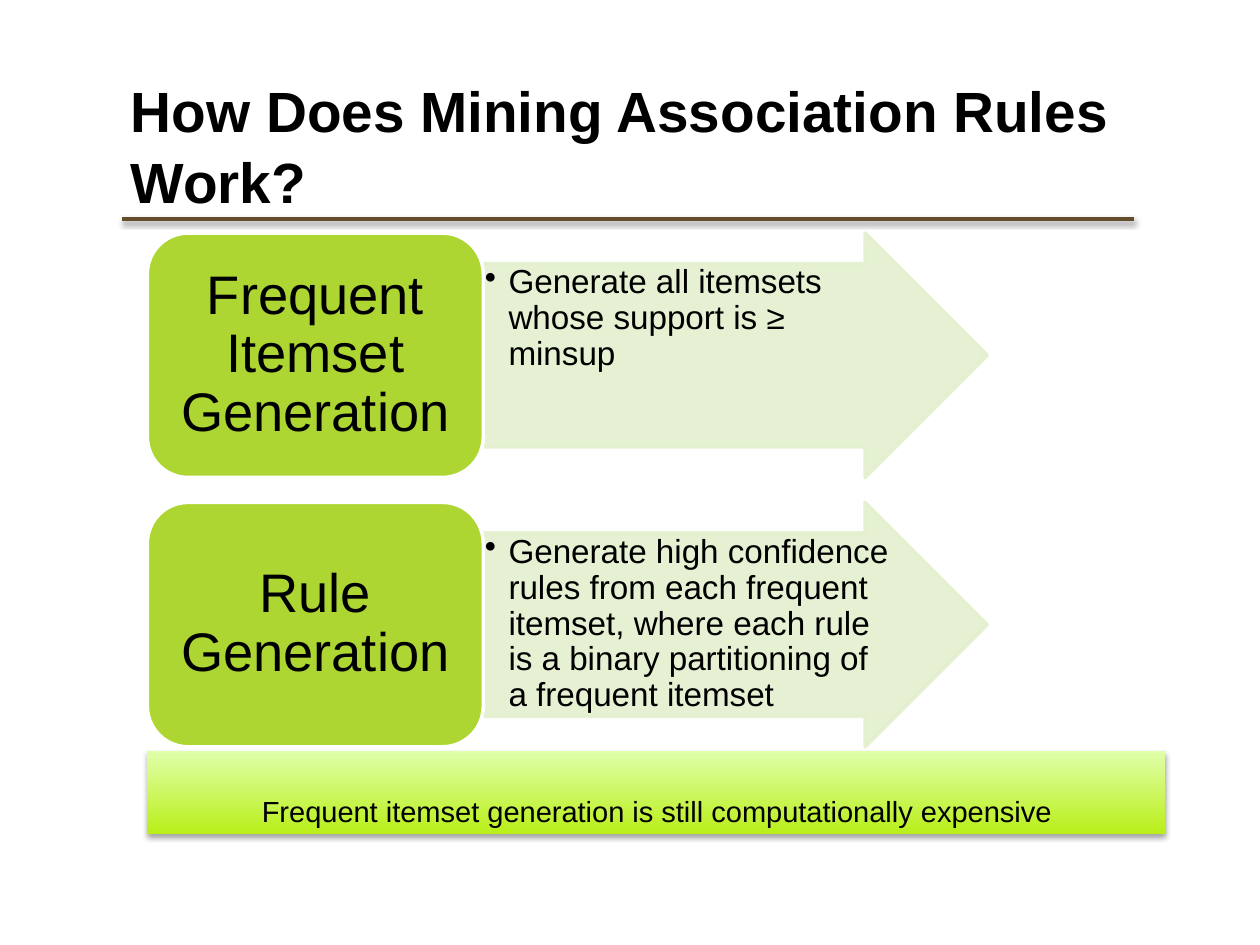
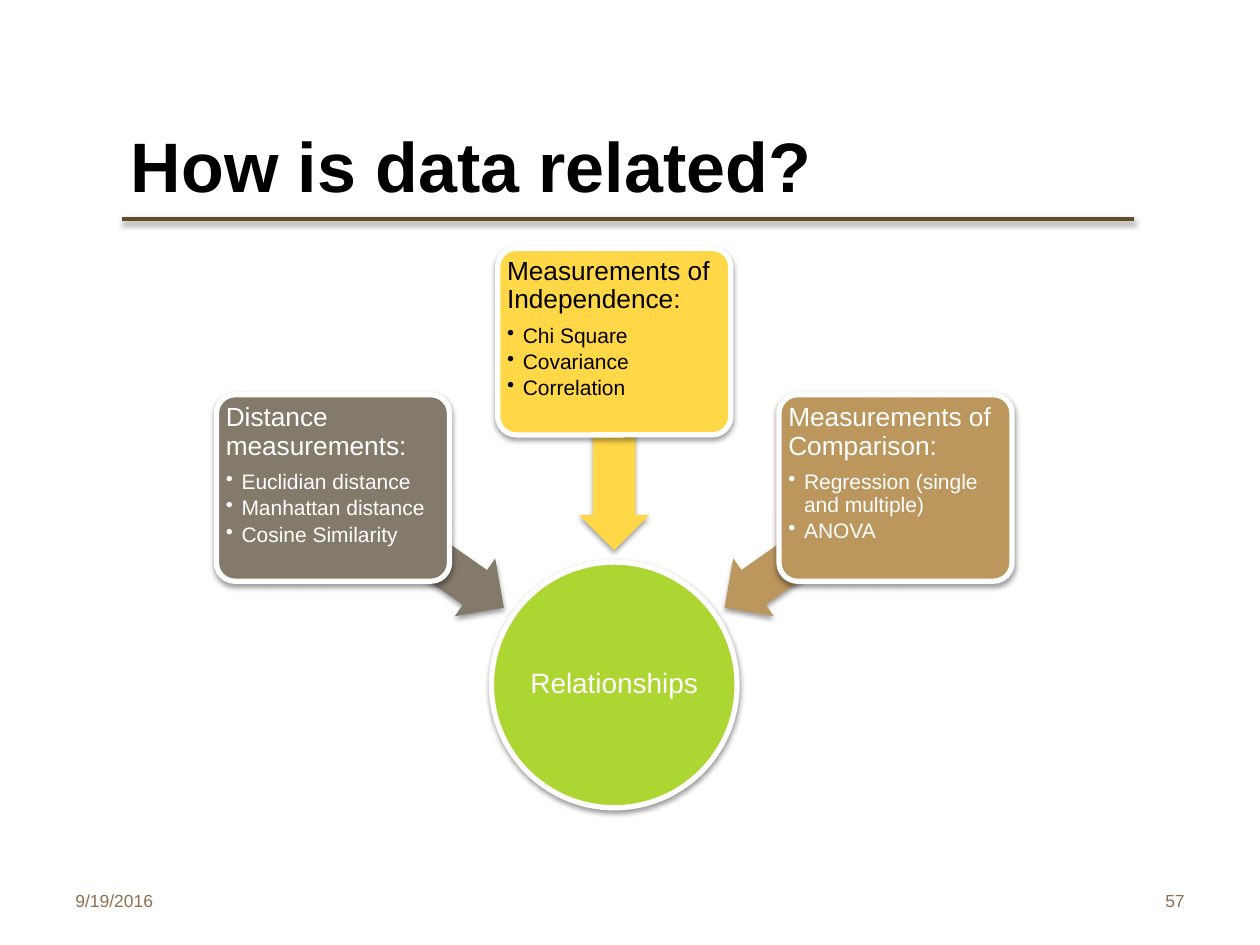
"""Build two slides on association rules and data relationships."""
from dataclasses import dataclass
from math import cos, radians, sin
from typing import Any, NamedTuple, Optional

from lxml.etree import SubElement as Sub
from pptx import Presentation
from pptx.dml.color import RGBColor as Rgb
from pptx.enum.shapes import MSO_CONNECTOR as Conn, MSO_SHAPE as Kind
from pptx.enum.text import MSO_ANCHOR as Anchor, PP_ALIGN as Align
from pptx.oxml.ns import qn
from pptx.util import Pt


@dataclass(frozen=True)
class Theme:
    font: str = "Arial"
    ink: str = "000000"
    white: str = "FFFFFF"
    rule: str = "634D2A"
    foot: str = "8F6F52"
    green: str = "ADD632"
    pale: str = "E3F0CE"
    lime: str = "B9EF19"
    mist: str = "E0FFAB"
    gray: str = "847A6C"
    gold: str = "FFD747"
    tan: str = "BB975E"
    foot_size: float = 10
    item_size: float = 12
    head_size: float = 15
    hub_size: float = 16
    note_size: float = 16.6
    step_size: float = 19
    stage_size: float = 31


class Box(NamedTuple):
    left: float
    top: float
    width: float
    height: float


class Look(NamedTuple):
    fill: str
    line: Optional[str] = None
    weight: float = 0
    adjust: tuple[float, ...] = ()
    alpha: int = 100
    shade: int = 0
    turn: float = 0


class Para(NamedTuple):
    text: str
    size: float
    color: str
    align: Any = Align.LEFT
    bold: bool = False
    hang: float = 0
    after: float = 0
    space: float = 0.9


class Stage(NamedTuple):
    name: str
    step: str


class Card(NamedTuple):
    angle: float
    fill: str
    ink: str
    head: str
    items: tuple[str, ...]


THEME = Theme()
STAGES = (
    Stage("Frequent Itemset Generation", "Generate all itemsets whose support is ≥ minsup"),
    Stage("Rule Generation", "Generate high confidence rules from each frequent itemset, "
          "where each rule is a binary partitioning of a frequent itemset"),
)
CARDS = (
    Card(215, THEME.gray, THEME.white, "Distance measurements:",
         ("Euclidian distance", "Manhattan distance", "Cosine Similarity")),
    Card(270, THEME.gold, THEME.ink, "Measurements of Independence:",
         ("Chi Square", "Covariance", "Correlation")),
    Card(325, THEME.tan, THEME.white, "Measurements of Comparison:",
         ("Regression (single and multiple)", "ANOVA")),
)


def assign(target: Any, values: dict[str, Any]) -> None:
    """Set each named attribute on the target."""
    for name, value in values.items():
        setattr(target, name, value)


def place(box: Box) -> list[Pt]:
    """Turn a box into point lengths."""
    return [Pt(side) for side in box]


def around(hub: tuple[float, float], reach: float, angle: float,
           width: float, height: float) -> Box:
    """Return a box centred at a reach and angle from the hub."""
    turn = radians(angle)
    return Box(hub[0] + reach * cos(turn) - width / 2,
               hub[1] + reach * sin(turn) - height / 2, width, height)


def write(shape: Any, paras: list[Para], anchor: Any = Anchor.MIDDLE,
          pads: tuple[float, ...] = (7.2, 3.6, 7.2, 3.6)) -> None:
    """Fill a shape with styled paragraphs."""
    frame = shape.text_frame
    sides = ("margin_left", "margin_top", "margin_right", "margin_bottom")
    assign(frame, {"word_wrap": True, "vertical_anchor": anchor,
                   **{side: Pt(pad) for side, pad in zip(sides, pads)}})
    for index, para in enumerate(paras):
        line = frame.add_paragraph() if index else frame.paragraphs[0]
        if para.hang:
            props = line._p.get_or_add_pPr()
            props.set("marL", str(Pt(para.hang)))
            props.set("indent", str(-Pt(para.hang)))
            Sub(props, qn("a:buChar")).set("char", "•")
            line.level = 1
        assign(line, {"text": para.text, "alignment": para.align,
                      "line_spacing": para.space, "space_after": Pt(para.after)})
        font = line.runs[0].font
        assign(font, {"name": THEME.font, "size": Pt(para.size), "bold": para.bold})
        font.color.rgb = Rgb.from_string(para.color)


def shade(props: Any, alpha: int, blur: float = 3.1, gap: float = 1.6) -> None:
    """Give shape properties a soft shadow falling straight down."""
    group = props.find(qn("a:effectLst"))
    if group is None:
        group = Sub(props, qn("a:effectLst"))
    drop = Sub(group, qn("a:outerShdw"), blurRad=str(Pt(blur)), dist=str(Pt(gap)),
               dir="5400000", algn="ctr", rotWithShape="0")
    tint = Sub(drop, qn("a:srgbClr"), val=THEME.ink)
    Sub(tint, qn("a:alpha"), val=str(alpha * 1000))


def draw(slide: Any, kind: Any, box: Box, look: Look) -> Any:
    """Add a preset shape with its look."""
    shape = slide.shapes.add_shape(kind, *place(box))
    shape.rotation = look.turn
    for index, value in enumerate(look.adjust):
        shape.adjustments[index] = value
    shape.fill.solid()
    shape.fill.fore_color.rgb = Rgb.from_string(look.fill)
    if look.line:
        shape.line.color.rgb = Rgb.from_string(look.line)
        shape.line.width = Pt(look.weight)
    else:
        shape.line.fill.background()
    props = shape.element.spPr
    if look.alpha < 100:
        for tint in list(props.iter(qn("a:srgbClr"))):
            Sub(tint, qn("a:alpha"), val=str(look.alpha * 1000))
    shape.shadow.inherit = False
    if look.shade:
        shade(props, look.shade)
    return shape


def label(slide: Any, box: Box, para: Para) -> None:
    """Add a text box holding one paragraph."""
    write(slide.shapes.add_textbox(*place(box)), [para])


def start(deck: Any, title: str, box: Box, size: float) -> Any:
    """Add a blank slide with the rule and a title."""
    slide = deck.slides.add_slide(deck.slide_layouts[6])
    rule = slide.shapes.add_connector(Conn.STRAIGHT, Pt(70), Pt(125.3), Pt(648), Pt(125.3))
    rule.line.color.rgb = Rgb.from_string(THEME.rule)
    rule.line.width = Pt(2)
    shade(rule._element.spPr, 38)
    label(slide, box, Para(title, size, THEME.ink, bold=True, space=1.04))
    return slide


def banner(slide: Any, text: str) -> None:
    """Add the gradient band with its remark."""
    band = draw(slide, Kind.RECTANGLE, Box(84.2, 429.1, 581.8, 47.5),
                Look(THEME.lime, shade=35))
    band.fill.gradient()
    band.fill.gradient_angle = 90
    for stop, color in zip(band.fill.gradient_stops, (THEME.lime, THEME.mist)):
        stop.color.rgb = Rgb.from_string(color)
    write(band, [Para(text, THEME.note_size, THEME.ink, Align.CENTER, space=1)],
          Anchor.BOTTOM)


def mining(deck: Any) -> None:
    """Build the slide on mining association rules."""
    slide = start(deck, "How Does Mining Association Rules Work?",
                  Box(67.7, 37.4, 616.3, 90), 32.4)
    banner(slide, "Frequent itemset generation is still computationally expensive")
    left, top, wide, high, pitch = 84.2, 133.2, 192, 139.7, 153.9
    for row, stage in enumerate(STAGES):
        level = top + row * pitch
        arrow = draw(slide, Kind.RIGHT_ARROW, Box(left + wide, level, 288, high),
                     Look(THEME.pale, THEME.pale, 2, (0.75, 0.5), alpha=90))
        write(arrow, [Para(stage.step, THEME.step_size, THEME.ink, hang=13.5)],
              Anchor.TOP, (0.9,) * 4)
        block = draw(slide, Kind.ROUNDED_RECTANGLE, Box(left, level, wide, high),
                     Look(THEME.green, THEME.white, 2))
        write(block, [Para(stage.name, THEME.stage_size, THEME.ink, Align.CENTER)],
              pads=(9.4, 4.7, 9.4, 4.7))


def related(deck: Any) -> None:
    """Build the slide on how data is related."""
    slide = start(deck, "How is data related?", Box(67.7, 59, 581.8, 67.7), 40)
    for left, text, align in ((36, "9/19/2016", Align.LEFT), (516, "57", Align.RIGHT)):
        label(slide, Box(left, 500.4, 168, 28.8),
              Para(text, THEME.foot_size, THEME.foot, align, space=1))
    hub = (351, 391.4)
    disc = draw(slide, Kind.OVAL, around(hub, 0, 0, 140.4, 140.4),
                Look(THEME.green, THEME.white, 3, shade=38))
    write(disc, [Para("Relationships", THEME.hub_size, THEME.white, Align.CENTER)],
          pads=(0.9,) * 4)
    for card in CARDS:
        draw(slide, Kind.LEFT_ARROW, around(hub, 136.4, card.angle, 118.8, 40.3),
             Look(card.fill, adjust=(0.6, 0.5), shade=38, turn=card.angle))
        panel = draw(slide, Kind.ROUNDED_RECTANGLE,
                     around(hub, 196.2, card.angle, 133.2, 106.6),
                     Look(card.fill, THEME.white, 3, (0.1,), shade=38))
        head = Para(card.head, THEME.head_size, card.ink, after=6)
        items = [Para(item, THEME.item_size, card.ink, hang=9, after=2.1)
                 for item in card.items]
        write(panel, [head, *items], Anchor.TOP, (2.2,) * 4)


def main() -> None:
    """Build and save the deck."""
    deck = Presentation()
    assign(deck, {"slide_width": Pt(720), "slide_height": Pt(540)})
    mining(deck)
    related(deck)
    deck.save("out.pptx")


if __name__ == "__main__":
    main()
